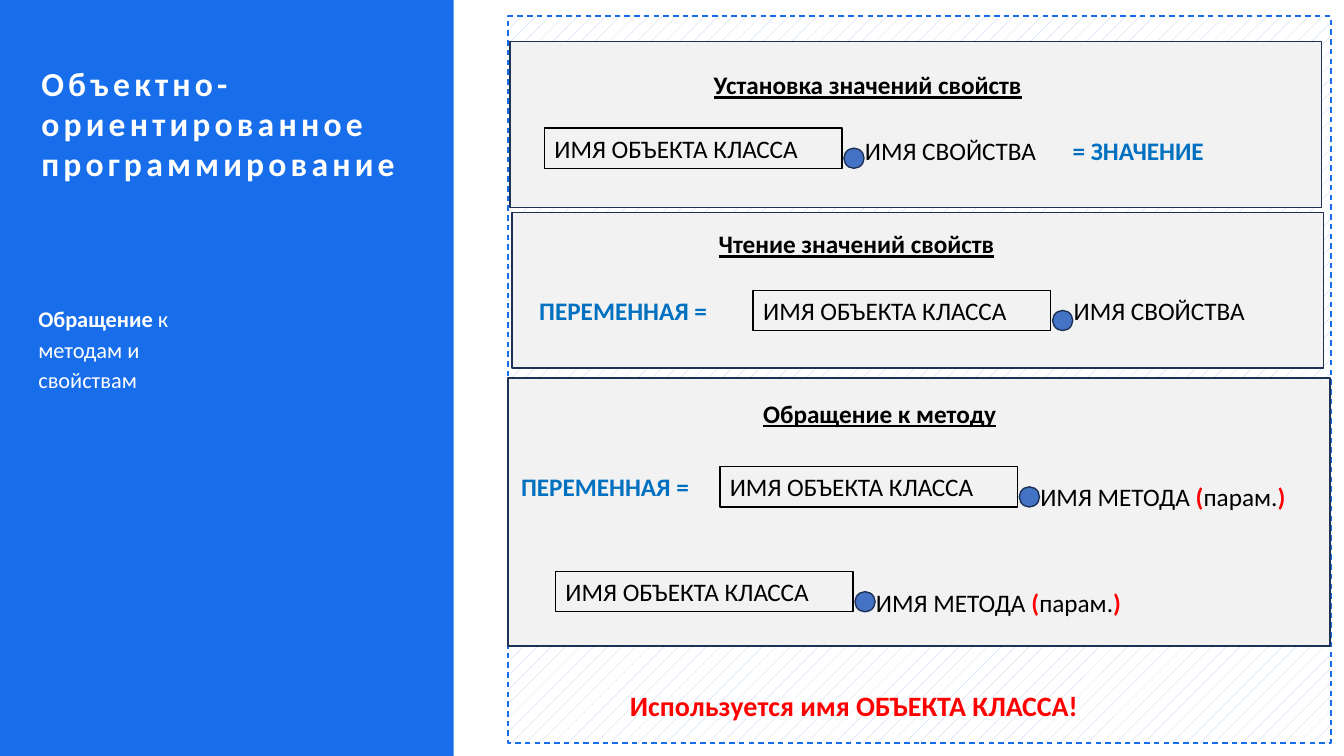
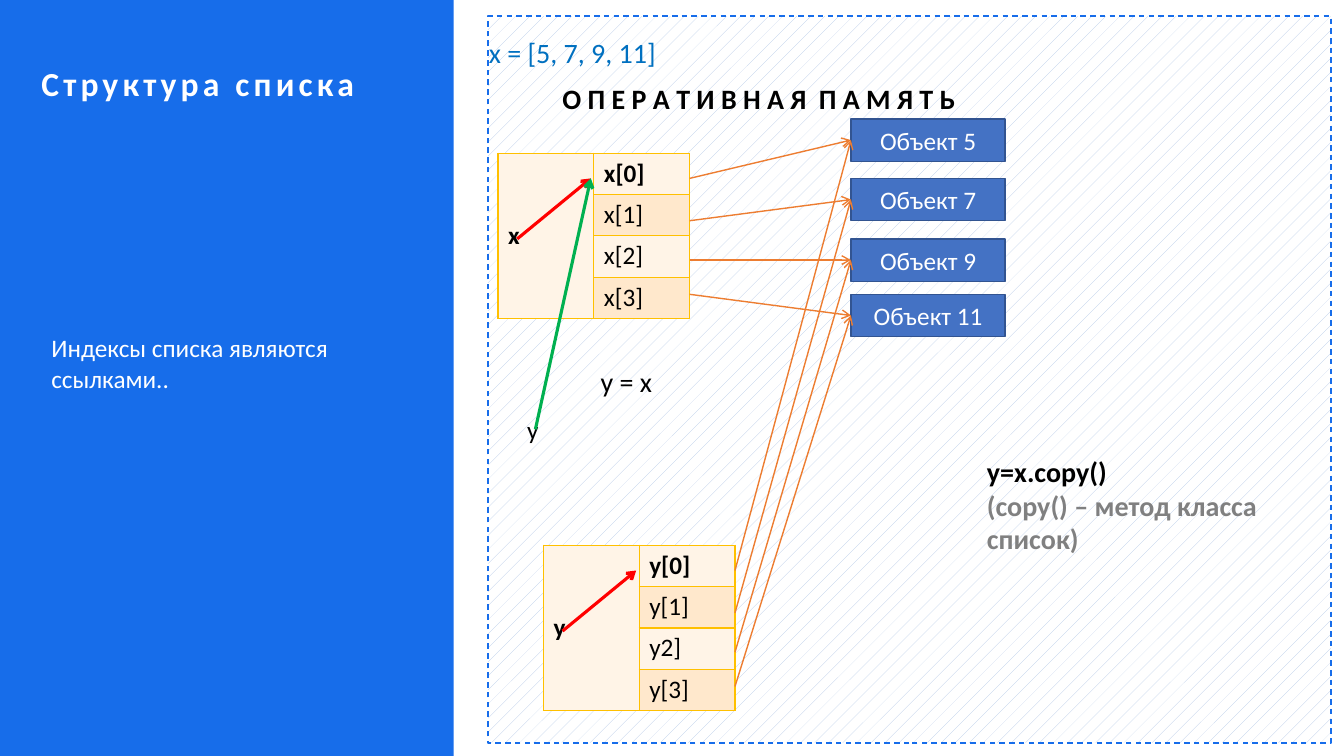
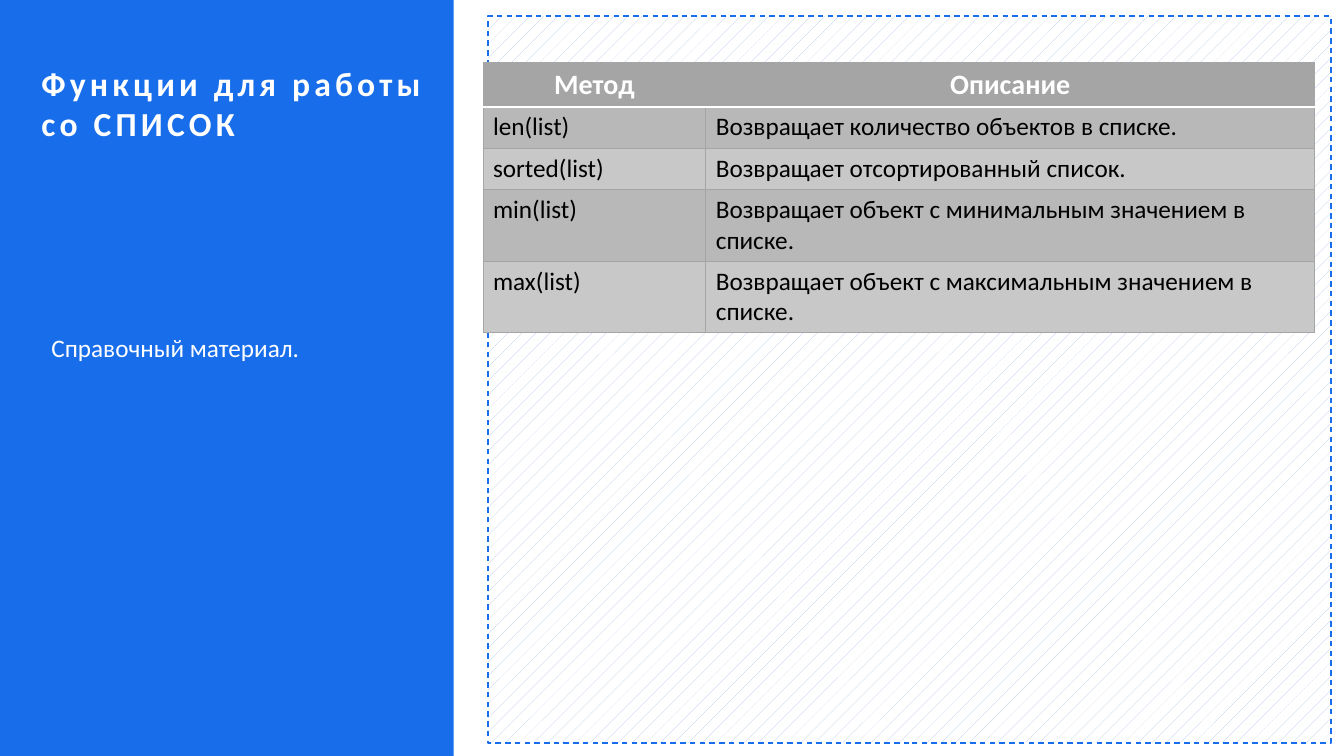
from dataclasses import dataclass

from lxml.etree import SubElement
from pptx import Presentation
from pptx.dml.color import RGBColor
from pptx.enum.dml import MSO_LINE, MSO_PATTERN
from pptx.enum.shapes import MSO_CONNECTOR, MSO_SHAPE
from pptx.enum.text import MSO_ANCHOR, MSO_AUTO_SIZE, PP_ALIGN
from pptx.oxml import parse_xml
from pptx.oxml.ns import nsdecls, qn
from pptx.util import Inches, Pt


@dataclass(frozen=True)
class Style:
    size: float
    color: str
    bold: bool = False
    underline: bool = False
    spacing: float = 0


class Theme:
    font = "Calibri"
    white, black, red, green = "FFFFFF", "000000", "FF0000", "00B050"
    band, hatch = "176DEA", "B4C7E7"
    panel, panel_edge = "F2F2F2", "1E3256"
    node, node_edge, link = "4472C4", "325491", "ED7D31"
    grid, row_light, row_dark = "FFC000", "FFF4E7", "FFE8CC"
    head, gray_dark, gray_light = "A5A5A5", "B8B8B8", "C8C8C8"

    title = Style(24, white, bold=True, spacing=3)
    side = Style(18, white)
    side_small = Style(16, white)
    side_strong = Style(16, white, bold=True)
    text = Style(18, black)
    strong = Style(18, black, bold=True)
    heading = Style(18, black, bold=True, underline=True)
    blue = Style(18, "0070C0", bold=True)
    paren = Style(18, red, bold=True)
    code = Style(20, "0070C0")
    large = Style(20, black)
    large_strong = Style(20, black, bold=True)
    word_gap = Style(20, black, bold=True, spacing=4)
    remark = Style(20, "808080", bold=True)
    alert = Style(20, red, bold=True)
    table_head = Style(20, white, bold=True)


# Content
SLIDE_W, SLIDE_H = 13.33, 7.5
BAND_W = 4.5
LINE_H = 0.4
OBJECT_W, DOT = 2.95, 0.2

VARIABLE = "ПЕРЕМЕННАЯ ="
OBJECT = "ИМЯ ОБЪЕКТА КЛАССА"
PROPERTY = [("ИМЯ СВОЙСТВА", Theme.text)]
METHOD = [("ИМЯ МЕТОДА ", Theme.text), ("(", Theme.paren),
          ("парам.", Theme.text), (")", Theme.paren)]

# Each call: object left and top, member and its drop, extra label and its left
PANELS = [
    dict(area=(5.06, 0.41, 8.05, 1.65), heading=("Установка значений свойств", 6.98, 0.64),
         grouped=True,
         calls=[(5.4, 1.27, PROPERTY, 0.02, "= ЗНАЧЕНИЕ", 10.54)]),
    dict(area=(5.08, 2.11, 8.05, 1.54), heading=("Чтение значений свойств", 7.03, 2.22),
         grouped=True,
         calls=[(7.47, 2.88, PROPERTY, 0, VARIABLE, 5.25)]),
    dict(area=(5.04, 3.75, 8.15, 2.66), heading=("Обращение к методу", 7.47, 3.9),
         grouped=False,
         calls=[(7.14, 4.63, METHOD, 0.1, VARIABLE, 5.07),
                (5.51, 5.67, METHOD, 0.11, None, None)]),
]

# Memory objects: label and top
NODES = [("Объект 5", 1.18), ("Объект 7", 1.77), ("Объект 9", 2.37), ("Объект 11", 2.92)]
# Index tables: left, top, variable name, cell labels
LISTS = [(4.94, 1.52, "x", ["x[0]", "x[1]", "x[2]", "x[3]"]),
         (5.39, 5.41, "y", ["y[0]", "y[1]", "y2]", "y[3]"])]
LINK_DROPS = [0.25, 0.67, 1.06, 1.4]
CELL_W, CELL_H = 0.95, 0.41

FUNCTIONS = [
    ("Метод", "Описание"),
    ("len(list)", "Возвращает количество объектов в списке."),
    ("sorted(list)", "Возвращает отсортированный список."),
    ("min(list)", "Возвращает объект с минимальным значением в списке."),
    ("max(list)", "Возвращает объект с максимальным значением в списке."),
]
FUNCTION_COLUMNS = [2.21, 6.04]
FUNCTION_ROWS = [0.42, 0.41, 0.41, 0.7, 0.7]


# Text
def rgb(color):
    return RGBColor.from_string(color)


def write(frame, *lines, align=PP_ALIGN.LEFT):
    """Each line is a list of (text, style) spans."""
    for number, line in enumerate(lines):
        para = frame.add_paragraph() if number else frame.paragraphs[0]
        para.alignment = align
        for text, style in line:
            span = para.add_run()
            span.text = text
            font = span.font
            font.name, font.size = Theme.font, Pt(style.size)
            font.bold, font.underline = style.bold, style.underline
            font.color.rgb = rgb(style.color)
            if style.spacing:
                span.font._element.set("spc", str(int(style.spacing * 100)))


def add_text(shapes, left, top, width, height, *lines):
    box = shapes.add_textbox(*map(Inches, (left, top, width, height)))
    box.text_frame.word_wrap = True
    write(box.text_frame, *lines)
    return box


def fill_placeholder(holder, area, line, inset=True):
    holder.left, holder.top, holder.width, holder.height = map(Inches, area)
    frame = holder.text_frame
    frame.word_wrap = True
    frame.auto_size = MSO_AUTO_SIZE.NONE
    frame.vertical_anchor = MSO_ANCHOR.TOP
    if not inset:
        frame.margin_left = frame.margin_right = 0
        frame.margin_top = frame.margin_bottom = 0
    write(frame, line)
    para = frame.paragraphs[0]
    para.space_before = Pt(0)
    return para


# Shapes
def add_box(shapes, kind, area, fill=None, edge=None):
    box = shapes.add_shape(kind, *map(Inches, area))
    box.shadow.inherit = False
    if fill:
        box.fill.solid()
        box.fill.fore_color.rgb = rgb(fill)
    else:
        box.fill.background()
    if edge:
        box.line.color.rgb = rgb(edge)
        box.line.width = Pt(1)
    else:
        box.line.fill.background()
    return box


def add_arrow(shapes, start, end, color, width, target=None):
    arrow = shapes.add_connector(MSO_CONNECTOR.STRAIGHT, *map(Inches, (*start, *end)))
    arrow.line.color.rgb = rgb(color)
    arrow.line.width = Pt(width)
    if target is not None:
        arrow.end_connect(target, 1)
    properties = arrow.element.spPr
    SubElement(properties.find(qn("a:ln")), qn("a:tailEnd"), type="arrow")
    SubElement(properties, qn("a:effectLst"))


# Tables
def style_cell(cell, text, style, fill, edges, align=PP_ALIGN.LEFT):
    """Edges maps a side (L, R, T, B) to colour and width."""
    cell.fill.solid()
    cell.fill.fore_color.rgb = rgb(fill)
    if text:
        write(cell.text_frame, [(text, style)], align=align)
    properties = cell._tc.get_or_add_tcPr()
    for place, side in enumerate("LRTB"):
        color, width = edges[side]
        properties.insert(place, parse_xml(
            f'<a:ln{side} {nsdecls("a")} w="{Pt(width)}"><a:solidFill>'
            f'<a:srgbClr val="{color}"/></a:solidFill></a:ln{side}>'))


def add_grid(shapes, left, top, columns, rows):
    grid = shapes.add_table(len(rows), len(columns), *map(
        Inches, (left, top, sum(columns), sum(rows)))).table
    grid.first_row = grid.horz_banding = False
    for column, width in zip(grid.columns, columns):
        column.width = Inches(width)
    for row, height in zip(grid.rows, rows):
        row.height = Inches(height)
    return grid


# Shared slide parts
def add_band(layout, page):
    band = add_box(page.shapes, MSO_SHAPE.RECTANGLE, (0, 0, BAND_W, SLIDE_H), Theme.band)
    layout.shapes.element.insert(2, band.element)


def add_page(deck, title, note, note_area, frame_left, note_inset=True):
    layout = deck.slide_layouts[1]
    page = deck.slides.add_slide(layout)
    if len(deck.slides) == 1:
        add_band(layout, page)
    fill_placeholder(page.shapes.title, (0.41, 0.62, 4.09, 1.21),
                     [(title, Theme.title)], inset=False)
    para = fill_placeholder(page.placeholders[1], note_area, note, note_inset)
    settings = para._p.get_or_add_pPr()
    settings.set("marL", "0")
    settings.set("indent", "0")
    SubElement(settings, qn("a:buNone"))
    if not note_inset:
        para.line_spacing = 1.14
        para.space_before = Pt(10)

    # Hatched frame
    frame = add_box(page.shapes, MSO_SHAPE.RECTANGLE,
                    (frame_left, 0.16, 13.2 - frame_left, 7.21), edge=Theme.band)
    frame.fill.patterned()
    frame.fill.pattern = MSO_PATTERN.PERCENT_5
    frame.fill.fore_color.rgb = rgb(Theme.hatch)
    frame.fill.back_color.rgb = rgb(Theme.white)
    frame.line.dash_style = MSO_LINE.DASH
    return page


# Slides
def add_call(shapes, left, top, member, drop, label, label_left):
    name = add_box(shapes, MSO_SHAPE.RECTANGLE, (left, top, OBJECT_W, LINE_H), edge=Theme.black)
    name.text_frame.vertical_anchor = MSO_ANCHOR.TOP
    write(name.text_frame, [(OBJECT, Theme.text)])
    add_box(shapes, MSO_SHAPE.OVAL, (left + OBJECT_W + 0.02, top + 0.2, DOT, DOT),
            Theme.node, Theme.panel_edge)
    add_text(shapes, left + OBJECT_W + 0.13, top + drop, 3, LINE_H, member)
    if label:
        label_top = top if label == VARIABLE else top + drop
        add_text(shapes, label_left, label_top, 2.2, LINE_H, [(label, Theme.blue)])


def build_access(deck):
    page = add_page(deck, "Объектно-ориентированное программирование",
                    [("Обращение", Theme.side_strong),
                     (" к методам и свойствам", Theme.side_small)],
                    (0.38, 2.99, 1.91, 0.89), 5.04, note_inset=False)
    for panel in PANELS:
        shapes = page.shapes.add_group_shape().shapes if panel["grouped"] else page.shapes
        add_box(shapes, MSO_SHAPE.RECTANGLE, panel["area"], Theme.panel, Theme.panel_edge)
        for call in panel["calls"]:
            add_call(shapes, *call)
        heading, left, top = panel["heading"]
        add_text(shapes, left, top, 3.95, LINE_H, [(heading, Theme.heading)])
    add_text(page.shapes, 6.15, 6.78, 5.37, 0.44,
             [("Используется имя ОБЪЕКТА КЛАССА!", Theme.alert)])


def build_structure(deck):
    page = add_page(deck, "Структура списка",
                    [("Индексы списка являются ссылками..", Theme.side)],
                    (0.41, 3.25, 3.72, 0.71), 4.84)
    shapes = page.shapes
    add_text(shapes, 4.75, 0.3, 8.44, 0.44, [("x = [5, 7, 9, 11]", Theme.code)])
    add_text(shapes, 5.48, 0.76, 5.01, 0.44,
             [("О П Е Р А Т И В Н А Я", Theme.large_strong), (" ", Theme.word_gap),
              ("П А М Я Т Ь", Theme.large_strong)])

    # Objects in memory
    nodes = []
    for label, top in NODES:
        node = add_box(shapes, MSO_SHAPE.RECTANGLE, (8.44, top, 1.53, 0.42),
                       Theme.node, Theme.node_edge)
        node.text_frame.vertical_anchor = MSO_ANCHOR.MIDDLE
        write(node.text_frame, [(label, Theme.side)], align=PP_ALIGN.CENTER)
        nodes.append(node)

    # Index tables with their references
    edges = dict.fromkeys("LRTB", (Theme.grid, 1))
    for left, top, name, labels in LISTS:
        grid = add_grid(shapes, left, top, [CELL_W] * 2, [CELL_H] * len(labels))
        grid.cell(0, 0).merge(grid.cell(len(labels) - 1, 0))
        grid.cell(0, 0).vertical_anchor = MSO_ANCHOR.MIDDLE
        for row, label in enumerate(labels):
            style_cell(grid.cell(row, 0), "" if row else name, Theme.strong,
                       Theme.row_light, edges)
            style_cell(grid.cell(row, 1), label, Theme.text if row else Theme.strong,
                       Theme.row_dark if row % 2 else Theme.row_light, edges)
        for drop, node in zip(LINK_DROPS, nodes):
            add_arrow(shapes, (left + 2 * CELL_W, top + drop), (8.44, top),
                      Theme.link, 1, target=node)
        add_arrow(shapes, (left + 0.19, top + 0.85), (left + 0.92, top + 0.25), Theme.red, 2.25)

    # Assignment and copying
    add_text(shapes, 5.86, 3.57, 0.97, 0.44, [("y = x", Theme.large)])
    add_text(shapes, 5.13, 4.06, 0.37, LINE_H, [("y", Theme.text)])
    add_arrow(shapes, (5.31, 4.26), (5.86, 1.77), Theme.green, 2.25)
    add_text(shapes, 9.69, 4.46, 3.5, 1.11,
             [("y=x.copy()", Theme.large_strong)],
             [("(copy() – метод класса список)", Theme.remark)])


def build_functions(deck):
    page = add_page(deck, "Функции для работы со СПИСОК",
                    [("Справочный материал.", Theme.side)],
                    (0.41, 3.25, 2.78, LINE_H), 4.84)
    grid = add_grid(page.shapes, 4.79, 0.62, FUNCTION_COLUMNS, FUNCTION_ROWS)
    plain = dict.fromkeys("LRTB", (Theme.head, 0.5))
    rule = (Theme.white, 1)
    for row, texts in enumerate(FUNCTIONS):
        for column, text in enumerate(texts):
            cell = grid.cell(row, column)
            if row == 0:
                style_cell(cell, text, Theme.table_head, Theme.head,
                           {**plain, "B": rule}, PP_ALIGN.CENTER)
            else:
                style_cell(cell, text, Theme.text,
                           Theme.gray_dark if row % 2 else Theme.gray_light,
                           {**plain, "T": rule} if row == 1 else plain)


def main():
    deck = Presentation()
    deck.slide_width, deck.slide_height = Inches(SLIDE_W), Inches(SLIDE_H)
    for build in (build_access, build_structure, build_functions):
        build(deck)
    deck.save("out.pptx")


if __name__ == "__main__":
    main()
